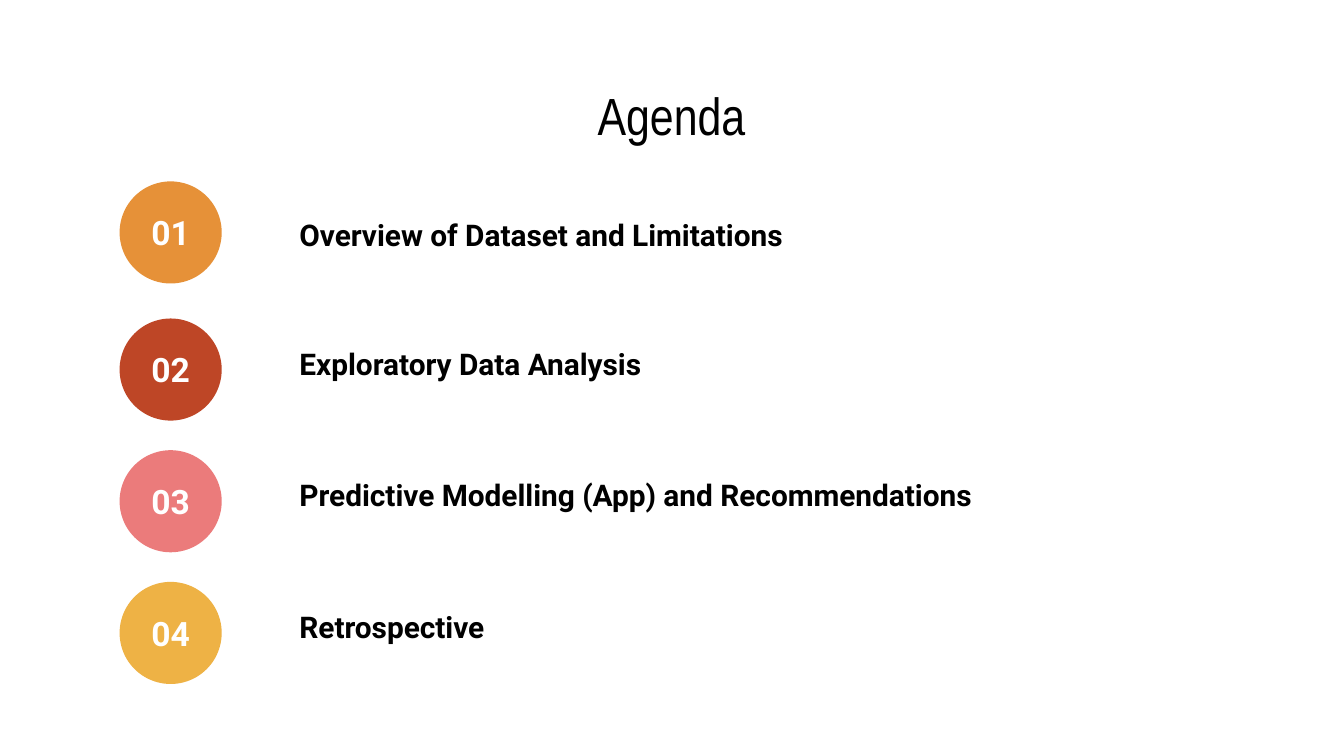
from dataclasses import dataclass

from pptx import Presentation
from pptx import util as u
from pptx.dml.color import RGBColor
from pptx.enum import shapes, text


@dataclass(frozen=True)
class Theme:
    """Colours, typefaces and type sizes of the deck."""
    ink: str = "000000"
    paper: str = "FFFFFF"
    title_font: str = "Arial Narrow"
    body_font: str = "Roboto"
    title_size: int = 28
    number_size: int = 18
    label_size: int = 16


@dataclass(frozen=True)
class Box:
    """A rectangle in inches."""
    left: float
    top: float
    width: float
    height: float

    def inside(self, left, top, width, height):
        """Return a box offset from this one's corner."""
        return Box(self.left + left, self.top + top, width, height)

    def emu(self):
        """Return the four lengths for python-pptx."""
        return [u.Inches(side) for side in (self.left, self.top, self.width, self.height)]


@dataclass(frozen=True)
class Item:
    """An agenda entry, with its lift above the row grid."""
    label: str
    colour: str
    label_width: float = 6.17
    lift: float = 0
    line_spacing: float = 1.0


THEME = Theme()
SLIDE = Box(0, 0, 10, 10 * 9 / 16)
ROW_PITCH = 0.98
CIRCLE = 0.76
LABEL_LEFT, LABEL_DROP, LABEL_HEIGHT = 1.24, 0.1, 0.59
ITEMS = (
    Item("Overview of Dataset and Limitations", "E69138", 6.37, 0.04, 1.15),
    Item("Exploratory Data Analysis", "BE4626", 5.43),
    Item("Predictive Modelling (App) and Recommendations", "EB7B7B"),
    Item("Retrospective", "EEB245"),
)


def write(shape, words, font, size, colour, bold, align, anchor, inset):
    """Put one formatted paragraph in a shape and return it."""
    frame = shape.text_frame
    frame.word_wrap = True
    frame.auto_size = text.MSO_AUTO_SIZE.NONE
    frame.vertical_anchor = anchor
    frame.margin_left = frame.margin_right = u.Inches(inset)
    frame.margin_top = frame.margin_bottom = u.Inches(inset)
    paragraph = frame.paragraphs[0]
    paragraph.text = words
    paragraph.alignment = align
    paragraph.font.name = font
    paragraph.font.size = u.Pt(size)
    paragraph.font.bold = bold
    paragraph.font.color.rgb = RGBColor.from_string(colour)
    return paragraph


def place_title(slide, box):
    """Move and format the title placeholder."""
    title = slide.shapes.title
    title.left, title.top, title.width, title.height = box.emu()
    write(title, "Agenda", THEME.title_font, THEME.title_size, THEME.ink, False,
          text.PP_ALIGN.CENTER, text.MSO_ANCHOR.MIDDLE, 0.1)


def place_item(slide, box, number, item):
    """Draw one numbered circle and its label."""
    circle = slide.shapes.add_shape(
        shapes.MSO_SHAPE.OVAL, *box.inside(0, 0, CIRCLE, CIRCLE).emu())
    circle.shadow.inherit = False
    circle.fill.solid()
    circle.fill.fore_color.rgb = RGBColor.from_string(item.colour)
    circle.line.fill.background()
    write(circle, f"{number:02d}", THEME.body_font, THEME.number_size, THEME.paper,
          True, text.PP_ALIGN.CENTER, text.MSO_ANCHOR.MIDDLE, 0)
    label_box = box.inside(LABEL_LEFT, LABEL_DROP + item.lift / 2,
                           item.label_width, LABEL_HEIGHT)
    label = slide.shapes.add_textbox(*label_box.emu())
    paragraph = write(label, item.label, THEME.body_font, THEME.label_size, THEME.ink,
                      True, text.PP_ALIGN.LEFT, text.MSO_ANCHOR.TOP, 0.1)
    paragraph.line_spacing = item.line_spacing


def place_agenda(slide, box):
    """Stack the agenda items at equal pitch."""
    for row, item in enumerate(ITEMS):
        row_box = box.inside(0, row * ROW_PITCH - item.lift, box.width, ROW_PITCH)
        place_item(slide, row_box, row + 1, item)


def main():
    """Build and save the agenda slide."""
    presentation = Presentation()
    presentation.slide_width = u.Inches(SLIDE.width)
    presentation.slide_height = u.Inches(SLIDE.height)
    slide = presentation.slides.add_slide(presentation.slide_layouts.get_by_name("Title Only"))
    place_title(slide, SLIDE.inside(3.12, 0.59, 3.75, 0.53))
    place_agenda(slide, SLIDE.inside(0.89, 1.39, 7.61, 3.7))
    presentation.save("out.pptx")


if __name__ == "__main__":
    main()
